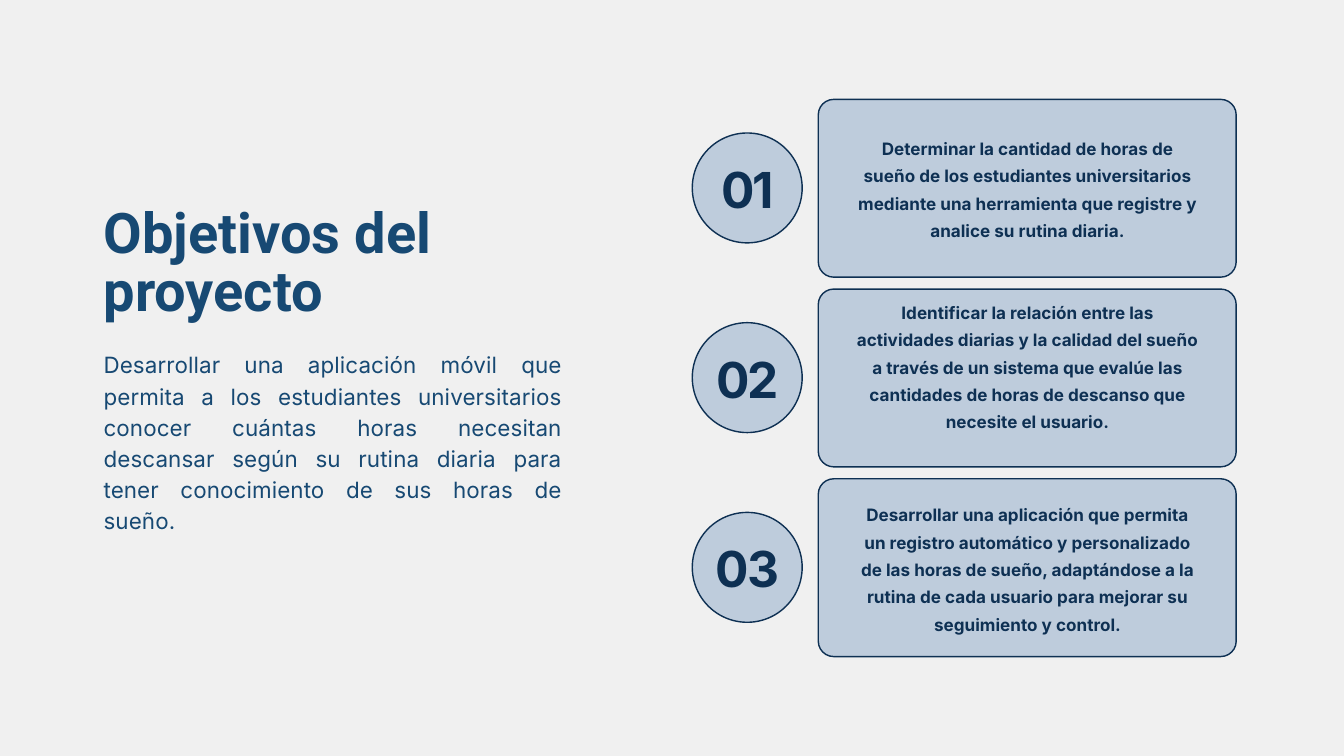
from dataclasses import dataclass

from pptx import Presentation
from pptx.dml.color import RGBColor
from pptx.enum.shapes import MSO_SHAPE as Shape
from pptx.enum.text import MSO_AUTO_SIZE as AutoSize, PP_ALIGN as Align
from pptx.util import Pt

EMU_PER_PX = 9525


def px(length):
    return length * EMU_PER_PX


@dataclass(frozen=True)
class TextStyle:
    font: str
    size: float
    leading: float
    color: str
    bold: bool = True
    align: Align = Align.CENTER
    tracking: int = 0  # hundredths of a point


class Theme:
    background = "F0F0F0"
    fill = "BECCDC"
    navy = "0E3053"
    blue = "174973"
    outline = 1.5
    title = TextStyle("Roboto", 60, 62.4, blue, align=Align.LEFT)
    body = TextStyle("Inter", 24, 33.4, blue, bold=False,
                     align=Align.JUSTIFY, tracking=10)
    number = TextStyle("Inter", 53.1, 63.7, navy, tracking=-190)
    card = TextStyle("Inter", 18.3, 29.3, navy)


class SlideBuilder:
    def __init__(self, page, theme):
        self.page = page
        self.theme = theme

    def background(self):
        fill = self.page.background.fill
        fill.solid()
        fill.fore_color.rgb = RGBColor.from_string(self.theme.background)

    def outlined(self, kind, left, top, width, height):
        """Add a preset shape with the theme's fill and outline."""
        shape = self.page.shapes.add_shape(
            kind, px(left), px(top), px(width), px(height))
        shape.shadow.inherit = False
        shape.fill.solid()
        shape.fill.fore_color.rgb = RGBColor.from_string(self.theme.fill)
        shape.line.color.rgb = RGBColor.from_string(self.theme.navy)
        shape.line.width = Pt(self.theme.outline)
        return shape

    def card(self, left, top, width, height, radius):
        shape = self.outlined(Shape.ROUNDED_RECTANGLE, left, top, width, height)
        shape.adjustments[0] = radius / min(width, height)

    def circle(self, left, top, diameter):
        self.outlined(Shape.OVAL, left, top, diameter, diameter)

    def text(self, words, style, left, top, width, height):
        box = self.page.shapes.add_textbox(
            px(left), px(top), px(width), px(height))
        frame = box.text_frame
        frame.word_wrap = True
        frame.auto_size = AutoSize.SHAPE_TO_FIT_TEXT
        frame.margin_left = frame.margin_right = 0
        frame.margin_top = frame.margin_bottom = 0
        para = frame.paragraphs[0]
        para.alignment = style.align
        para.line_spacing = Pt(style.leading)
        span = para.add_run()
        span.text = words
        span.font.name = style.font
        span.font.size = Pt(style.size)
        span.font.bold = style.bold
        span.font.color.rgb = RGBColor.from_string(style.color)
        if style.tracking:
            span._r.get_or_add_rPr().set("spc", str(style.tracking))


# Each objective: wording, text offset from the card's top, text height
OBJECTIVES = [
    ("Determinar la cantidad de horas de sueño de los estudiantes "
     "universitarios mediante una herramienta que registre y analice su "
     "rutina diaria.", 46, 191),
    ("Identificar la relación entre las actividades diarias y la calidad del "
     "sueño a través de un sistema que evalúe las cantidades de horas de "
     "descanso que necesite el usuario.", 9, 229),
    ("Desarrollar una aplicación que permita un registro automático y "
     "personalizado de las horas de sueño, adaptándose a la rutina de cada "
     "usuario para mejorar su seguimiento y control.", 27, 229),
]
FIRST_TOP, ROW_PITCH = 142, 271


def main():
    deck = Presentation()
    deck.slide_width, deck.slide_height = px(1920), px(1080)
    theme = Theme()
    slide = SlideBuilder(deck.slides.add_slide(deck.slide_layouts[6]), theme)
    slide.background()

    slide.text("Objetivos del proyecto", theme.title, 148, 295, 655, 171)
    slide.text("Desarrollar una aplicación móvil que permita a los estudiantes "
               "universitarios conocer cuántas horas necesitan descansar según "
               "su rutina diaria para tener conocimiento de sus horas de sueño.",
               theme.body, 148, 496, 655, 307)

    for index, (words, offset, height) in enumerate(OBJECTIVES):
        top = FIRST_TOP + index * ROW_PITCH
        slide.circle(989, top + 48, 157)
        slide.text(f"{index + 1:02}", theme.number, 994, top + 85, 148, 84)
        slide.card(1169, top, 597, 254, radius=22)
        slide.text(words, theme.card, 1222, top + offset, 492, height)

    deck.save("out.pptx")


if __name__ == "__main__":
    main()
